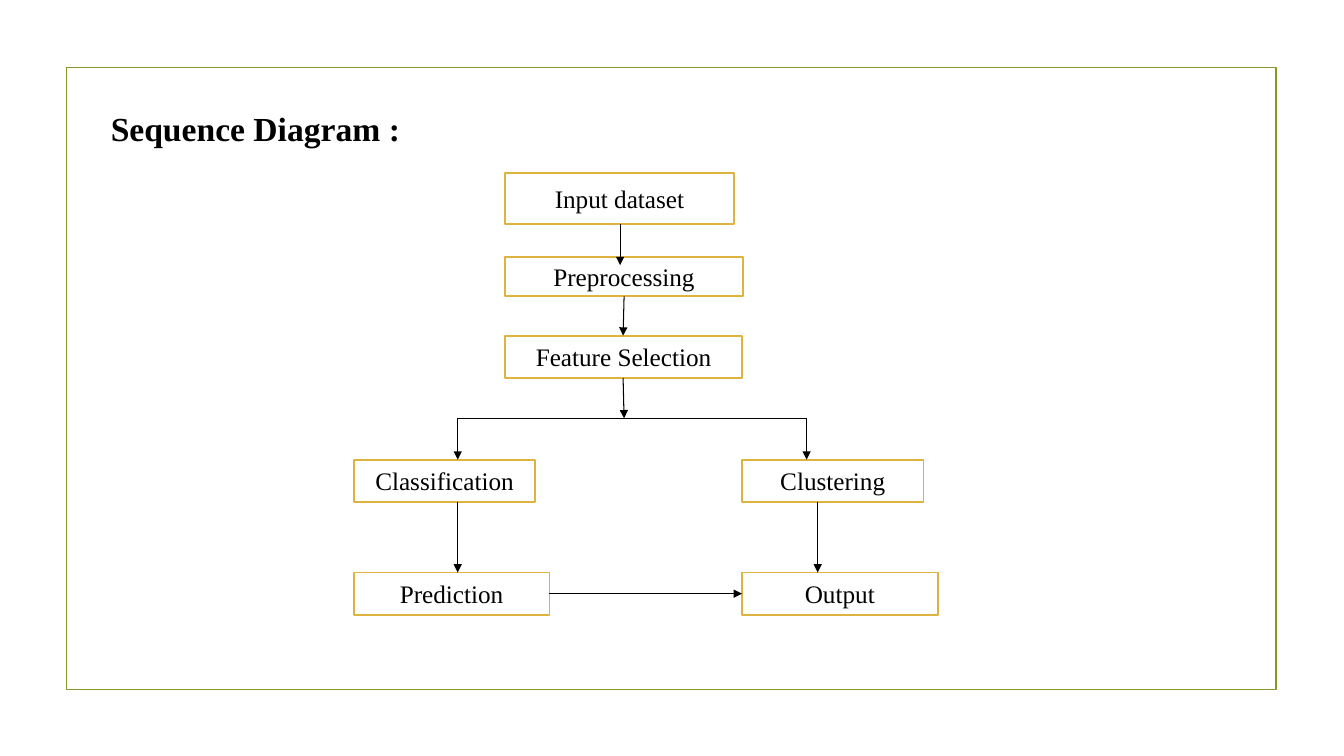
from dataclasses import dataclass

from lxml.etree import SubElement
from pptx import Presentation
from pptx.dml.color import RGBColor
from pptx.enum.shapes import MSO_CONNECTOR, MSO_SHAPE
from pptx.enum.text import MSO_ANCHOR, PP_ALIGN
from pptx.oxml.ns import qn
from pptx.util import Inches, Pt


@dataclass(frozen=True)
class Theme:
    font: str = "Times New Roman"
    ink: RGBColor = RGBColor(0x00, 0x00, 0x00)
    paper: RGBColor = RGBColor(0xFF, 0xFF, 0xFF)
    frame: RGBColor = RGBColor(0x83, 0x99, 0x2A)
    box: RGBColor = RGBColor(0xDE, 0xB3, 0x40)
    title_size: float = 24
    label_size: float = 18
    border: float = 1.25
    arrow: float = 0.75


def write(tf, text, *, theme, size, bold=False, align=PP_ALIGN.LEFT, anchor=MSO_ANCHOR.TOP):
    tf.word_wrap = True
    tf.vertical_anchor = anchor
    p = tf.paragraphs[0]
    p.alignment = align
    r = p.add_run()
    r.text = text
    r.font.name = theme.font
    r.font.size = Pt(size)
    r.font.bold = bold
    r.font.color.rgb = theme.ink


class Diagram:
    def __init__(self, slide, theme):
        self.slide = slide
        self.theme = theme

    def outline(self, kind, x, y, w, h, color, fill=None):
        sp = self.slide.shapes.add_shape(kind, Inches(x), Inches(y), Inches(w), Inches(h))
        sp.shadow.inherit = False
        if fill is None:
            sp.fill.background()
        else:
            sp.fill.solid()
            sp.fill.fore_color.rgb = fill
        sp.line.color.rgb = color
        sp.line.width = Pt(self.theme.border)
        return sp

    def frame(self, x, y, w, h):
        self.outline(MSO_SHAPE.RECTANGLE, x, y, w, h, self.theme.frame)

    def title(self, text, x, y, w, h):
        sp = self.slide.shapes.add_textbox(Inches(x), Inches(y), Inches(w), Inches(h))
        write(sp.text_frame, text, theme=self.theme, size=self.theme.title_size, bold=True)

    def step(self, text, x, y, w, h):
        sp = self.outline(MSO_SHAPE.FLOWCHART_PROCESS, x, y, w, h, self.theme.box, self.theme.paper)
        write(sp.text_frame, text, theme=self.theme, size=self.theme.label_size,
              align=PP_ALIGN.CENTER, anchor=MSO_ANCHOR.MIDDLE)

    def line(self, x1, y1, x2, y2, head=True):
        cxn = self.slide.shapes.add_connector(
            MSO_CONNECTOR.STRAIGHT, Inches(x1), Inches(y1), Inches(x2), Inches(y2))
        cxn.line.color.rgb = self.theme.ink
        cxn.line.width = Pt(self.theme.arrow)
        if head:
            SubElement(cxn.line._get_or_add_ln(), qn("a:tailEnd"), type="triangle")
        SubElement(cxn._element.spPr, qn("a:effectLst"))


def main():
    prs = Presentation()
    prs.slide_width, prs.slide_height = Inches(13.33), Inches(7.5)
    d = Diagram(prs.slides.add_slide(prs.slide_layouts[6]), Theme())

    # Frame and title
    d.frame(0.66, 0.67, 12, 6.17)
    d.title("Sequence Diagram :", 1, 1.02, 11.38, 1.11)

    # Shared preparation steps
    trunk = 5.01
    d.step("Input dataset", trunk, 1.72, 2.27, 0.5)
    d.step("Preprocessing", trunk, 2.55, 2.36, 0.39)
    d.step("Feature Selection", trunk, 3.33, 2.35, 0.42)

    # Two branches, each with a method and its result
    left, right, height = 3.51, 7.36, 0.42
    method_y, result_y = 4.56, 5.68
    method_w, result_w = 1.8, 1.94
    for x, method, result in ((left, "Classification", "Prediction"),
                              (right, "Clustering", "Output")):
        d.step(method, x, method_y, method_w, height)
        d.step(result, x, result_y, result_w, height)

    # Arrows down the trunk
    fork_y = 4.15
    for x1, y1, x2, y2 in ((6.15, 2.22, 6.15, 2.63),
                           (6.19, 2.94, 6.18, 3.33),
                           (6.18, 3.75, 6.19, fork_y)):
        d.line(x1, y1, x2, y2)

    # Fork and arrows down the branches
    fork_left, fork_right = 4.54, 8
    d.line(fork_left, fork_y, fork_right, fork_y, head=False)
    for fork_x, result_x in ((fork_left, fork_left), (fork_right, 8.11)):
        d.line(fork_x, fork_y, fork_x, method_y)
        d.line(result_x, method_y + height, result_x, result_y)

    # Prediction to output
    middle = result_y + height / 2
    d.line(left + result_w, middle, right, middle)

    prs.save("out.pptx")


if __name__ == "__main__":
    main()
